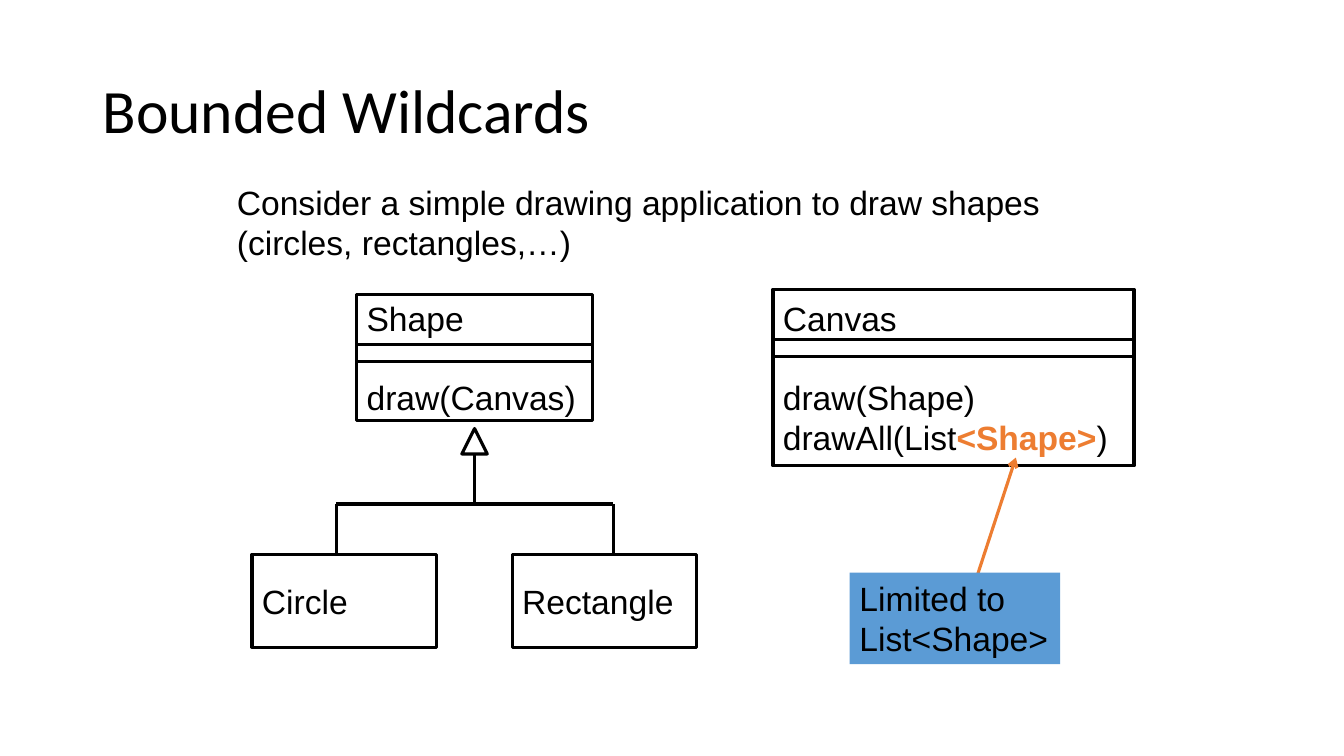
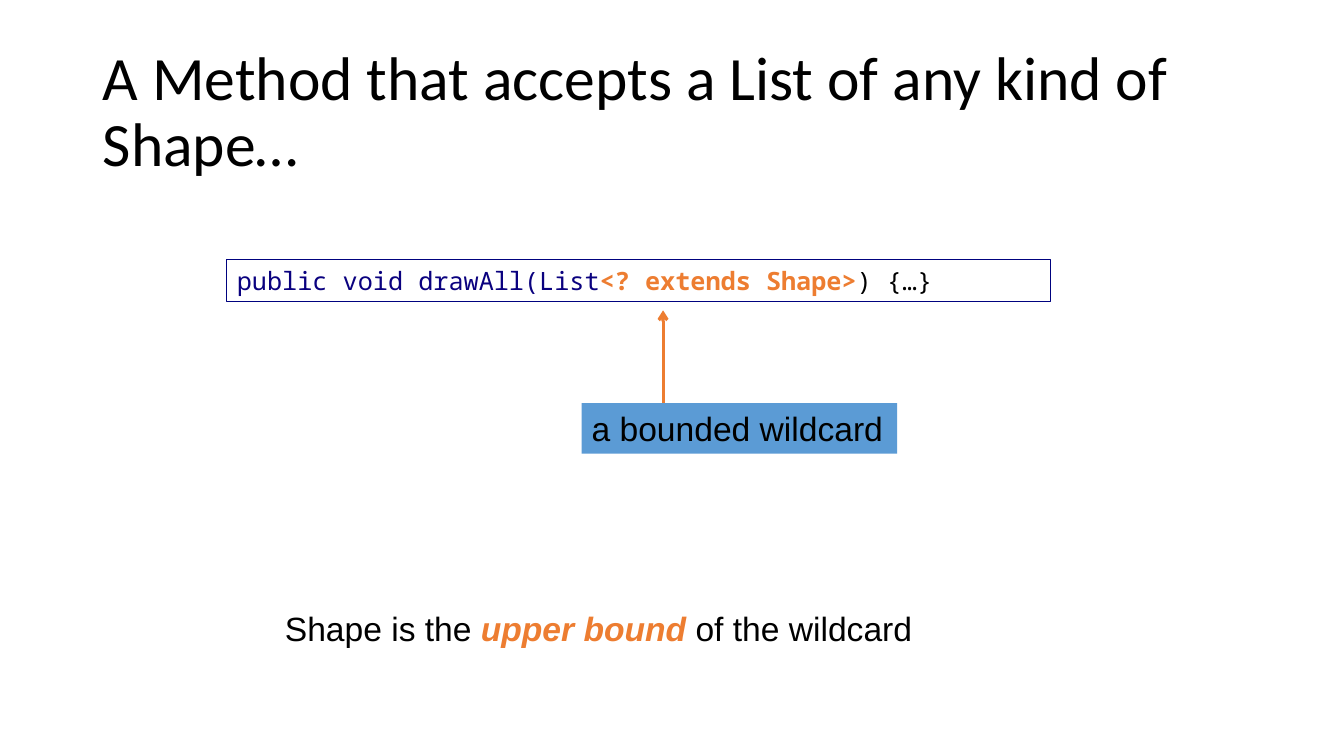
from dataclasses import dataclass, replace
from typing import NamedTuple, Optional

import lxml.etree
import pptx
import pptx.dml.color
import pptx.enum.shapes
import pptx.enum.text
import pptx.oxml.ns
import pptx.util
from pptx.util import Cm

BLACK = pptx.dml.color.RGBColor(0x00, 0x00, 0x00)
WHITE = pptx.dml.color.RGBColor(0xFF, 0xFF, 0xFF)
ORANGE = pptx.dml.color.RGBColor(0xED, 0x7D, 0x31)
BLUE = pptx.dml.color.RGBColor(0x5B, 0x9B, 0xD5)
CODE_BORDER = pptx.dml.color.RGBColor(0x00, 0x02, 0x7F)
CODE_TEXT = pptx.dml.color.RGBColor(0x0A, 0x01, 0x7F)

RECTANGLE = pptx.enum.shapes.MSO_SHAPE.RECTANGLE
TRIANGLE = pptx.enum.shapes.MSO_SHAPE.ISOSCELES_TRIANGLE
TOP = pptx.enum.text.MSO_ANCHOR.TOP
MIDDLE = pptx.enum.text.MSO_ANCHOR.MIDDLE
STROKE = 2.25


class Box(NamedTuple):
    left: float
    top: float
    width: float
    height: float

    @property
    def center(self) -> float:
        return self.left + self.width / 2

    @property
    def right(self) -> float:
        return self.left + self.width


class Point(NamedTuple):
    x: float
    y: float


@dataclass(frozen=True)
class Run:
    text: str
    color: pptx.dml.color.RGBColor = BLACK
    bold: bool = False
    italic: bool = False


@dataclass(frozen=True)
class Line:
    runs: tuple[Run, ...]
    space_before: float = 0


@dataclass(frozen=True)
class TextStyle:
    font: str = "Arial"
    size: float = 24
    anchor: pptx.enum.text.MSO_ANCHOR = TOP
    wrap: bool = True
    line_spacing: float = 1.0


@dataclass(frozen=True)
class Border:
    color: pptx.dml.color.RGBColor
    width: float


BODY = TextStyle()
CLASS_TEXT = replace(BODY, anchor=MIDDLE)
UNWRAPPED = replace(BODY, wrap=False)
TITLE = TextStyle("Calibri", 44, MIDDLE, True, 0.9)
CODE = TextStyle("Noto Sans Mono", 18)
OUTLINE = Border(BLACK, STROKE)
TITLE_BOX = Box(2.34, 1.02, 29.21, 3.68)
SEPARATOR_OFFSETS = (1.27, 1.69)
BLANK_LINE = 27.6


def plain(*texts: str) -> list[Line]:
    return [Line((Run(text),)) for text in texts]


def write(shape, lines: list[Line], style: TextStyle) -> None:
    frame = shape.text_frame
    frame.word_wrap = style.wrap
    frame.vertical_anchor = style.anchor
    for index, line in enumerate(lines):
        paragraph = frame.add_paragraph() if index else frame.paragraphs[0]
        paragraph.alignment = pptx.enum.text.PP_ALIGN.LEFT
        paragraph.line_spacing = style.line_spacing
        paragraph.space_before = pptx.util.Pt(line.space_before)
        for part in line.runs:
            run = paragraph.add_run()
            run.text = part.text
            run.font.name = style.font
            run.font.size = pptx.util.Pt(style.size)
            run.font.bold = part.bold
            run.font.italic = part.italic
            run.font.color.rgb = part.color


def add_text(slide, box: Box, lines: list[Line], style: TextStyle) -> None:
    write(slide.shapes.add_textbox(*map(Cm, box)), lines, style)


def add_box(slide, box: Box, lines: list[Line], style: TextStyle = CLASS_TEXT,
            fill: Optional[pptx.dml.color.RGBColor] = None,
            border: Optional[Border] = OUTLINE, kind=RECTANGLE) -> None:
    shape = slide.shapes.add_shape(kind, *map(Cm, box))
    shape.shadow.inherit = False
    if fill is None:
        shape.fill.background()
    else:
        shape.fill.solid()
        shape.fill.fore_color.rgb = fill
    if border is None:
        shape.line.fill.background()
    else:
        shape.line.color.rgb = border.color
        shape.line.width = pptx.util.Pt(border.width)
    write(shape, lines, style)


def add_line(slide, start: Point, end: Point,
             color: pptx.dml.color.RGBColor = BLACK, arrow: bool = False) -> None:
    connector = slide.shapes.add_connector(
        pptx.enum.shapes.MSO_CONNECTOR.STRAIGHT, *map(Cm, (*start, *end)))
    connector.line.color.rgb = color
    connector.line.width = pptx.util.Pt(STROKE)
    properties = connector._element.spPr
    if arrow:
        outline = properties.find(pptx.oxml.ns.qn("a:ln"))
        lxml.etree.SubElement(outline, pptx.oxml.ns.qn("a:tailEnd"), type="arrow")
    lxml.etree.SubElement(properties, pptx.oxml.ns.qn("a:effectLst"))


def add_class(slide, box: Box, name: str, methods: list[Line]) -> None:
    first = replace(methods[0], space_before=BLANK_LINE)
    add_box(slide, box, [*plain(name), first, *methods[1:]])
    for offset in SEPARATOR_OFFSETS:
        y = box.top + offset
        add_line(slide, Point(box.left, y), Point(box.right, y))


def add_note(slide, box: Box, *texts: str) -> None:
    add_box(slide, box, plain(*texts), UNWRAPPED, BLUE, None)


def add_titled_slide(presentation, title: str):
    slide = presentation.slides.add_slide(presentation.slide_layouts[6])
    add_text(slide, TITLE_BOX, plain(title), TITLE)
    return slide


def add_inheritance(slide, parent: Box, names: tuple[str, ...]) -> None:
    triangle = Box(parent.center - 0.32, 10.8, 0.64, 0.64)
    branch_y, child_y, reach = 12.7, 13.97, 3.49
    center = parent.center
    add_line(slide, Point(center, 11.43), Point(center, branch_y))
    add_box(slide, triangle, [], kind=TRIANGLE)
    add_line(slide, Point(center - reach, branch_y), Point(center + reach, branch_y))
    for index, name in enumerate(names):
        add_box(slide, Box(6.35 + index * 6.56, child_y, 4.65, 2.34), plain(name))
        x = center + (2 * index - 1) * reach
        add_line(slide, Point(x, branch_y), Point(x, child_y))


def build_drawing_slide(presentation) -> None:
    slide = add_titled_slide(presentation, "Bounded Wildcards")
    add_text(slide, Box(5.72, 4.45, 21.59, 2.31), plain(
        "Consider a simple drawing application to draw shapes "
        "(circles, rectangles,…)"), BODY)
    shape_class = Box(8.99, 7.42, 5.94, 3.18)
    add_class(slide, shape_class, "Shape", plain("draw(Canvas)"))
    add_inheritance(slide, shape_class, ("Circle", "Rectangle"))
    draw_all = Line((Run("drawAll(List"), Run("<Shape>", ORANGE, True), Run(")")))
    add_class(slide, Box(19.48, 7.29, 9.1, 4.45), "Canvas",
              [*plain("draw(Shape)"), draw_all])
    add_line(slide, Point(24.56, 14.71), Point(25.6, 11.53), ORANGE, True)
    add_note(slide, Box(21.41, 14.43, 5.31, 2.31), "Limited to", "List<Shape>")


def build_wildcard_slide(presentation) -> None:
    slide = add_titled_slide(
        presentation, "A Method that accepts a List of any kind of Shape…")
    add_line(slide, Point(16.71, 10.46), Point(16.71, 7.82), ORANGE, True)
    signature = Line((Run("public void drawAll(List", CODE_TEXT),
                      Run("<? extends Shape>", ORANGE, True), Run(") {…}")))
    add_box(slide, Box(5.72, 6.55, 20.75, 1.04), [signature], CODE, WHITE,
            Border(CODE_BORDER, 0.75))
    add_note(slide, Box(14.66, 10.16, 7.95, 1.27), "a bounded wildcard")
    conclusion = Line((Run("Shape is the "), Run("upper bound", ORANGE, True, True),
                       Run(" of the wildcard")))
    add_text(slide, Box(6.93, 15.19, 16.33, 1.27), [conclusion], UNWRAPPED)


def main() -> None:
    presentation = pptx.Presentation()
    presentation.slide_width = Cm(33.87)
    presentation.slide_height = Cm(19.05)
    build_drawing_slide(presentation)
    build_wildcard_slide(presentation)
    presentation.save("out.pptx")


main()
